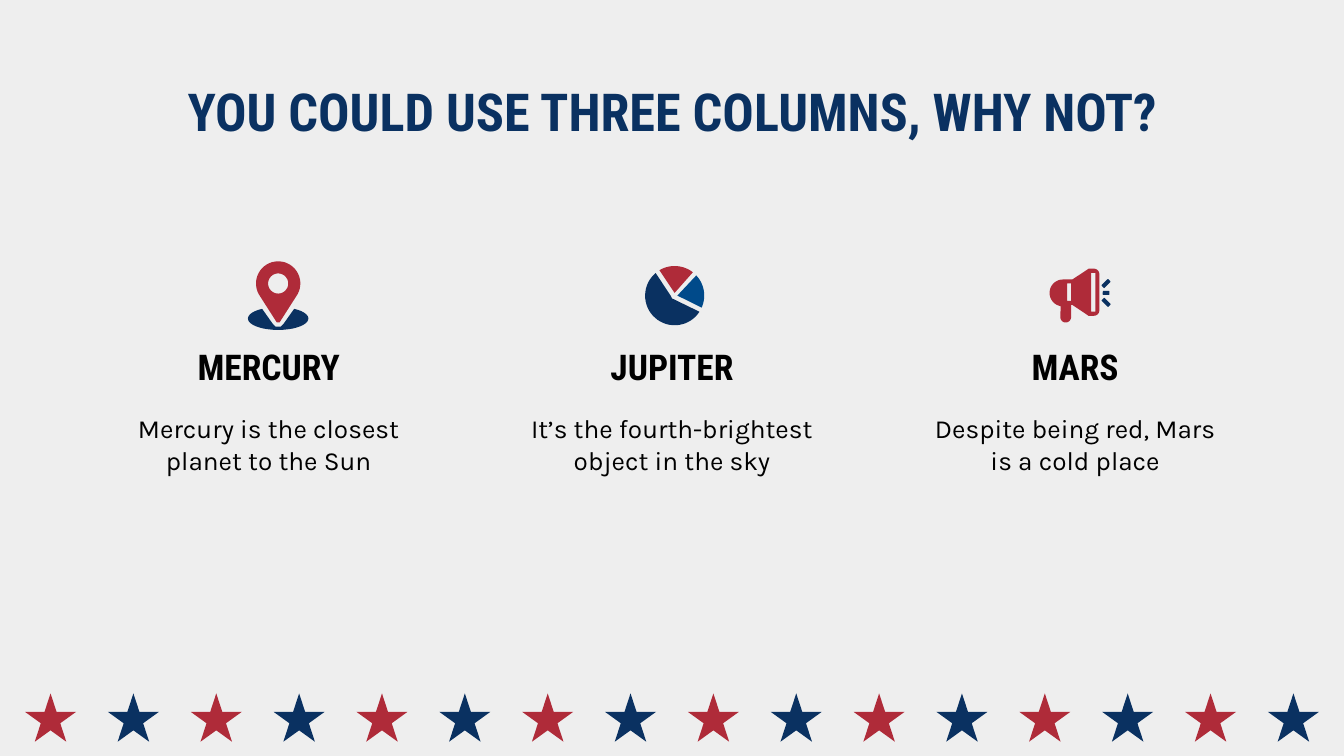
from math import cos, radians, sin

from pptx import Presentation
from pptx import util as u
from pptx.dml.color import RGBColor
from pptx.enum import shapes, text

WIDTH, HEIGHT = 10, 5.625
COLORS = {"paper": "EEEEEE", "navy": "0A3161", "red": "AF2B39",
          "blue": "004A8A", "ink": "000000"}
HEADING_FONT, BODY_FONT = "Roboto Condensed", "Karla"
STAR_COUNT = 16
STAR_PITCH = 0.6165
COLUMN_PITCH = 0.3 * WIDTH
ICON_MIDDLE = 2.2
COLUMNS = [
    ("MERCURY", "Mercury is the closest planet to the Sun"),
    ("JUPITER", "It’s the fourth-brightest object in the sky"),
    ("MARS", "Despite being red, Mars is a cold place"),
]


def paint(shape, color):
    shape.fill.solid()
    shape.fill.fore_color.rgb = RGBColor.from_string(COLORS[color])
    shape.line.fill.background()
    shape.shadow.inherit = False


def add_preset(slide, kind, center, size, color, rotation=0):
    (x, y), (w, h) = center, size
    shape = slide.shapes.add_shape(
        kind, u.Inches(x - w / 2), u.Inches(y - h / 2), u.Inches(w), u.Inches(h))
    shape.rotation = rotation
    paint(shape, color)


def arc(center, radii, start, end, steps=32):
    """Points of an elliptical arc; angles in degrees, clockwise from the right."""
    (x, y), (rx, ry) = center, radii
    angles = [radians(start + (end - start) * i / steps) for i in range(steps + 1)]
    return [(x + rx * cos(a), y + ry * sin(a)) for a in angles]


def box(left, top, right, bottom):
    return [(left, top), (right, top), (right, bottom), (left, bottom)]


def add_outline(slide, middle, color, *contours):
    """Filled outline around a column's icon point; later contours are holes."""
    placed = [[(u.Inches(middle + x), u.Inches(ICON_MIDDLE + y)) for x, y in contour]
              for contour in contours]
    builder = slide.shapes.build_freeform(*placed[0][0], scale=1.0)
    builder.add_line_segments(placed[0][1:], close=True)
    for hole in placed[1:]:
        builder.move_to(*hole[0])
        builder.add_line_segments(hole[1:], close=True)
    paint(builder.convert_to_shape(), color)


def add_map_pin(slide, middle):
    head = (0.07, -0.09)
    add_outline(slide, middle, "red",
                arc(head, (0.165, 0.165), 143, 397) + [(0.08, 0.2), (0.06, 0.2)],
                arc(head, (0.075, 0.075), 0, 360))
    add_outline(slide, middle, "navy",
                arc((0.07, 0.17), (0.225, 0.085), -58, 238)
                + [(0.03, 0.21), (0.05, 0.23), (0.09, 0.23), (0.11, 0.21)])


def add_pie(slide, middle):
    center, radii = (0.02, 0), (0.22, 0.22)
    slices = [("navy", 33, 230, [(-0.01, 0), (0, 0.02)]),
              ("red", 239, 308, [(0.02, -0.02)]),
              ("blue", -43, 24, [(0.04, 0)])]
    for color, start, end, apex in slices:
        add_outline(slide, middle, color, arc(center, radii, start, end) + apex)


def add_megaphone(slide, middle):
    for y, length, rotation in [(-0.02, 0.05, 0), (-0.09, 0.07, -45), (0.05, 0.07, 45)]:
        add_preset(slide, shapes.MSO_SHAPE.ROUNDED_RECTANGLE,
                   (middle + 0.23, ICON_MIDDLE + y), (length, 0.03), "navy", rotation)
    corner = (0.04, 0.04)
    body = ([(-0.02, -0.12), (0.1, -0.2)]
            + arc((0.14, -0.16), corner, -90, 0)
            + arc((0.14, 0.11), corner, 0, 90)
            + [(0.1, 0.15), (-0.02, 0.07), (-0.03, 0.07)]
            + arc((-0.07, 0.16), corner, 0, 180)
            + arc((-0.09, -0.02), (0.1, 0.1), 100, 270))
    add_outline(slide, middle, "red", body,
                box(-0.06, -0.09, -0.03, 0.04), box(0.12, -0.17, 0.15, 0.12))


def write(shape, words, font, size, color, bold=False):
    frame = shape.text_frame
    frame.word_wrap = True
    frame.auto_size = text.MSO_AUTO_SIZE.NONE
    frame.vertical_anchor = text.MSO_ANCHOR.TOP
    frame.margin_left = frame.margin_right = u.Inches(0.1)
    frame.margin_top = frame.margin_bottom = u.Inches(0.1)
    frame.text = words
    paragraph = frame.paragraphs[0]
    paragraph.alignment = text.PP_ALIGN.CENTER
    paragraph.font.name = font
    paragraph.font.size = u.Pt(size)
    paragraph.font.bold = bold
    paragraph.font.color.rgb = RGBColor.from_string(COLORS[color])


def add_title(slide, words):
    title = slide.shapes.title
    title.left, title.top = u.Inches(0.79), u.Inches(0.49)
    title.width, title.height = u.Inches(8.42), u.Inches(0.63)
    write(title, words, HEADING_FONT, 28, "navy", bold=True)


def add_label(slide, middle, top, size, words, *style):
    width, height = size
    label = slide.shapes.add_textbox(u.Inches(middle - width / 2), u.Inches(top),
                                     u.Inches(width), u.Inches(height))
    write(label, words, *style)


def add_star_row(slide):
    for i in range(STAR_COUNT):
        x = WIDTH / 2 + (i - (STAR_COUNT - 1) / 2) * STAR_PITCH
        add_preset(slide, shapes.MSO_SHAPE.STAR_5_POINT, (x, 5.34), (0.38, 0.36),
                   "navy" if i % 2 else "red")


def main():
    deck = Presentation()
    deck.slide_width, deck.slide_height = u.Inches(WIDTH), u.Inches(HEIGHT)
    slide = deck.slides.add_slide(deck.slide_layouts.get_by_name("Title Only"))
    slide.background.fill.solid()
    slide.background.fill.fore_color.rgb = RGBColor.from_string(COLORS["paper"])

    add_star_row(slide)
    add_title(slide, "YOU COULD USE THREE COLUMNS, WHY NOT?")
    icons = [add_map_pin, add_pie, add_megaphone]
    for i, ((planet, fact), add_icon) in enumerate(zip(COLUMNS, icons)):
        middle = WIDTH / 2 + (i - 1) * COLUMN_PITCH
        add_label(slide, middle, 2.47, (1.87, 0.52), planet,
                  HEADING_FONT, 19, "ink", True)
        add_label(slide, middle, 2.97, (2.45, 0.69), fact, BODY_FONT, 14, "ink")
        add_icon(slide, middle)
    deck.save("out.pptx")


if __name__ == "__main__":
    main()
